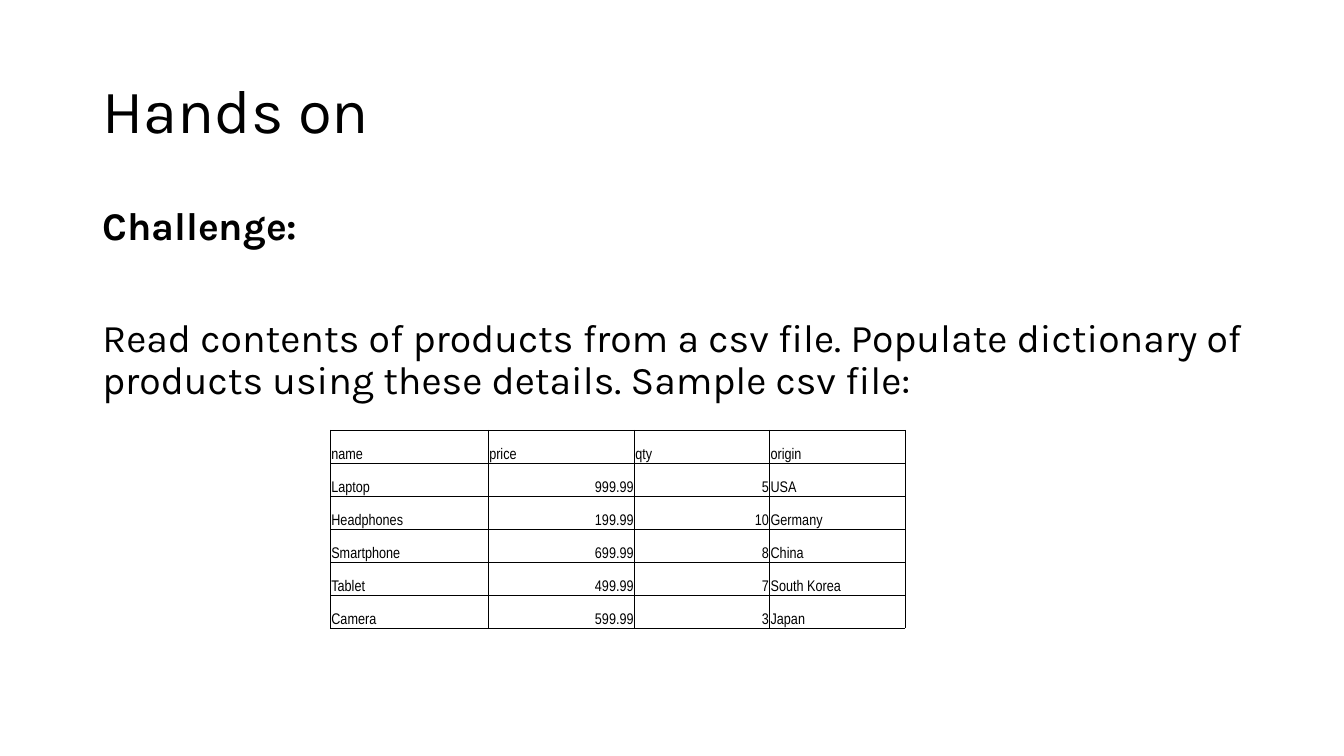
from lxml.etree import SubElement
from pptx import Presentation
from pptx.dml.color import RGBColor
from pptx.enum.text import MSO_ANCHOR, PP_ALIGN
from pptx.oxml.ns import qn
from pptx.util import Cm, Pt

COLORS = {"ink": "000000", "paper": "FFFFFF"}

PRODUCTS = [
    ("name", "price", "qty", "origin"),
    ("Laptop", "999.99", "5", "USA"),
    ("Headphones", "199.99", "10", "Germany"),
    ("Smartphone", "699.99", "8", "China"),
    ("Tablet", "499.99", "7", "South Korea"),
    ("Camera", "599.99", "3", "Japan"),
]
NUMERIC_COLUMNS = (1, 2)


class HandsOnSlide:
    """Holds the style and the current slide."""

    text_font = "Karla"
    table_font = "Arial Narrow"
    border_width = Pt(0.5)

    def __init__(self, deck):
        self.slide = deck.slides.add_slide(deck.slide_layouts[5])
        background = self.slide.background.fill
        background.solid()
        background.fore_color.rgb = RGBColor.from_string(COLORS["paper"])

    def format_runs(self, paragraph, size, font, bold=False):
        for run in paragraph.runs:
            run.font.size = Pt(size)
            run.font.name = font
            run.font.bold = bold
            run.font.color.rgb = RGBColor.from_string(COLORS["ink"])

    def title(self, text, left, top, width, height):
        heading = self.slide.shapes.title
        heading.left, heading.top = Cm(left), Cm(top)
        heading.width, heading.height = Cm(width), Cm(height)
        frame = heading.text_frame
        frame.text = text
        frame.vertical_anchor = MSO_ANCHOR.MIDDLE
        line = frame.paragraphs[0]
        line.alignment = PP_ALIGN.LEFT
        line.line_spacing = 0.9
        self.format_runs(line, 44, self.text_font)

    def body(self, parts, left, top, width, height):
        """Each part is (text, bold, space before in points)."""
        frame = self.slide.shapes.add_textbox(
            Cm(left), Cm(top), Cm(width), Cm(height)).text_frame
        frame.word_wrap = True
        frame.text = "\n".join(text for text, _, _ in parts)
        for paragraph, (_, bold, space) in zip(frame.paragraphs, parts):
            paragraph.line_spacing = 0.9
            paragraph.space_before = Pt(space)
            self.format_runs(paragraph, 28, self.text_font, bold)

    def table(self, rows, left, top, widths, row_height):
        grid = self.slide.shapes.add_table(
            len(rows), len(widths), Cm(left), Cm(top),
            Cm(sum(widths)), Cm(row_height * len(rows))).table
        grid.first_row = grid.horz_banding = False
        for column, width in zip(grid.columns, widths):
            column.width = Cm(width)
        for r, values in enumerate(rows):
            grid.rows[r].height = Cm(row_height)
            for c, value in enumerate(values):
                is_number = r > 0 and c in NUMERIC_COLUMNS
                self.cell(grid.cell(r, c), value, is_number)

    def cell(self, cell, value, is_number):
        cell.text_frame.text = value
        cell.vertical_anchor = MSO_ANCHOR.BOTTOM
        cell.margin_left = cell.margin_right = cell.margin_top = Cm(0.02)
        cell.margin_bottom = 0
        entry = cell.text_frame.paragraphs[0]
        entry.alignment = PP_ALIGN.RIGHT if is_number else PP_ALIGN.LEFT
        self.format_runs(entry, 11, self.table_font)
        # Borders come before the fill in the cell properties
        properties = cell._tc.get_or_add_tcPr()
        for side in ("a:lnL", "a:lnR", "a:lnT", "a:lnB"):
            border = SubElement(properties, qn(side), w=str(self.border_width))
            paint = SubElement(border, qn("a:solidFill"))
            SubElement(paint, qn("a:srgbClr"), val=COLORS["ink"])
        cell.fill.background()


def main():
    deck = Presentation()
    deck.slide_width, deck.slide_height = Cm(33.87), Cm(19.05)
    hands_on = HandsOnSlide(deck)

    # Heading
    hands_on.title("Hands on", 2.33, 1.01, 29.21, 3.68)

    # Challenge text
    hands_on.body([
        ("Challenge:", True, 10),
        ("Read contents of products from a csv file. Populate dictionary of "
         "products using these details. Sample csv file:", False, 50),
    ], 2.33, 5.07, 29.21, 12.09)

    # Sample csv file
    hands_on.table(PRODUCTS, 8.33, 10.84, (3.98, 3.68, 3.41, 3.41), 0.83)

    deck.save("out.pptx")


if __name__ == "__main__":
    main()
